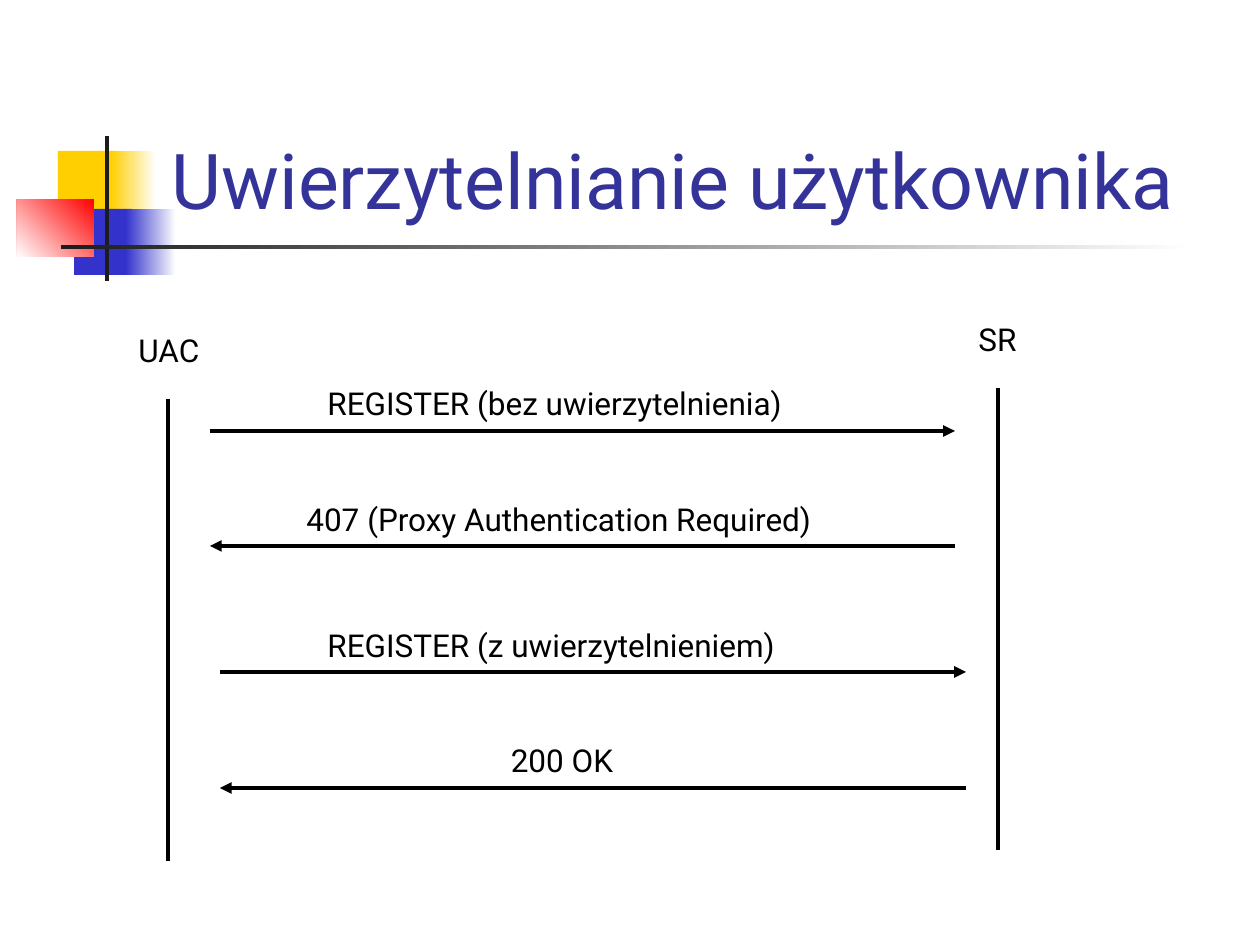
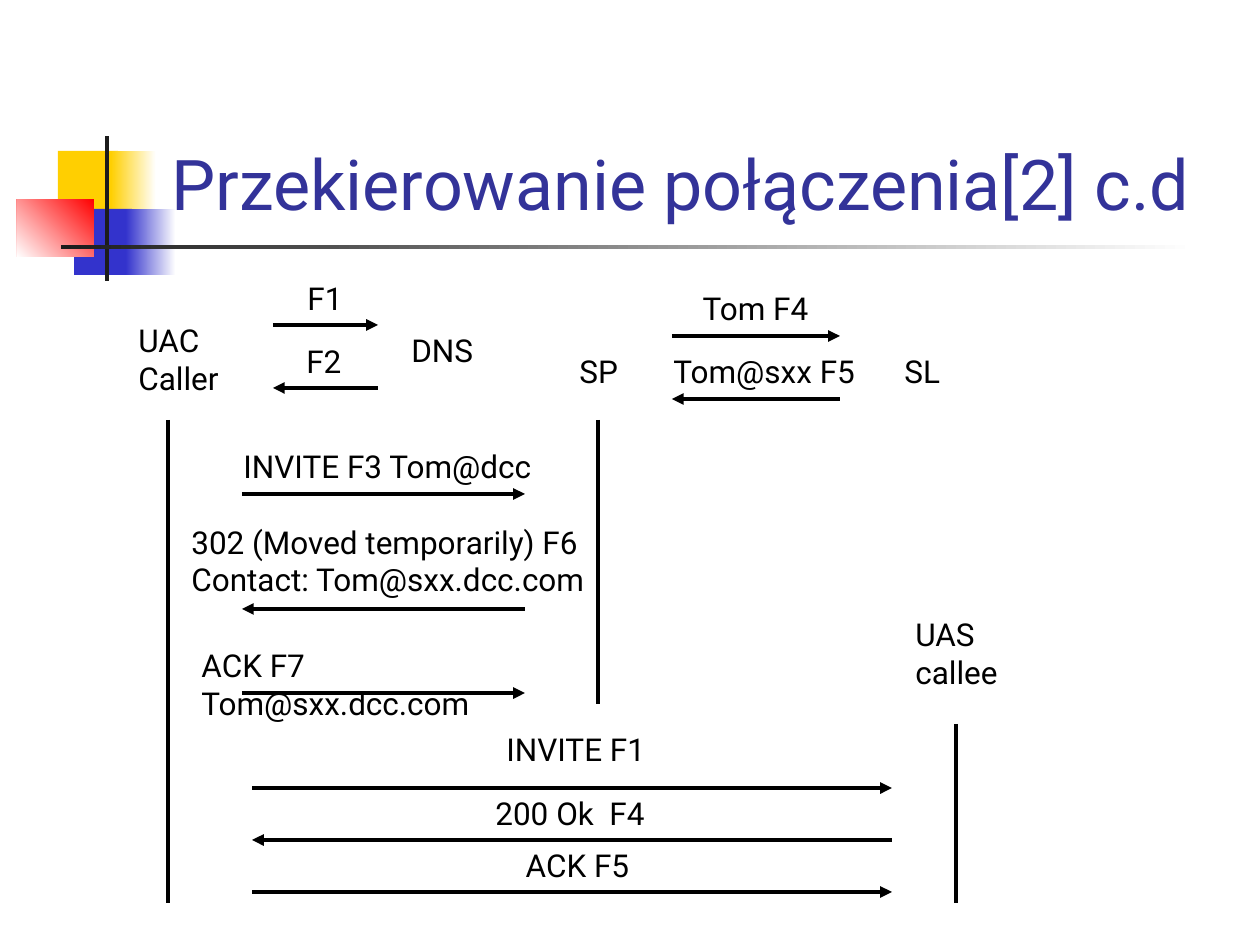
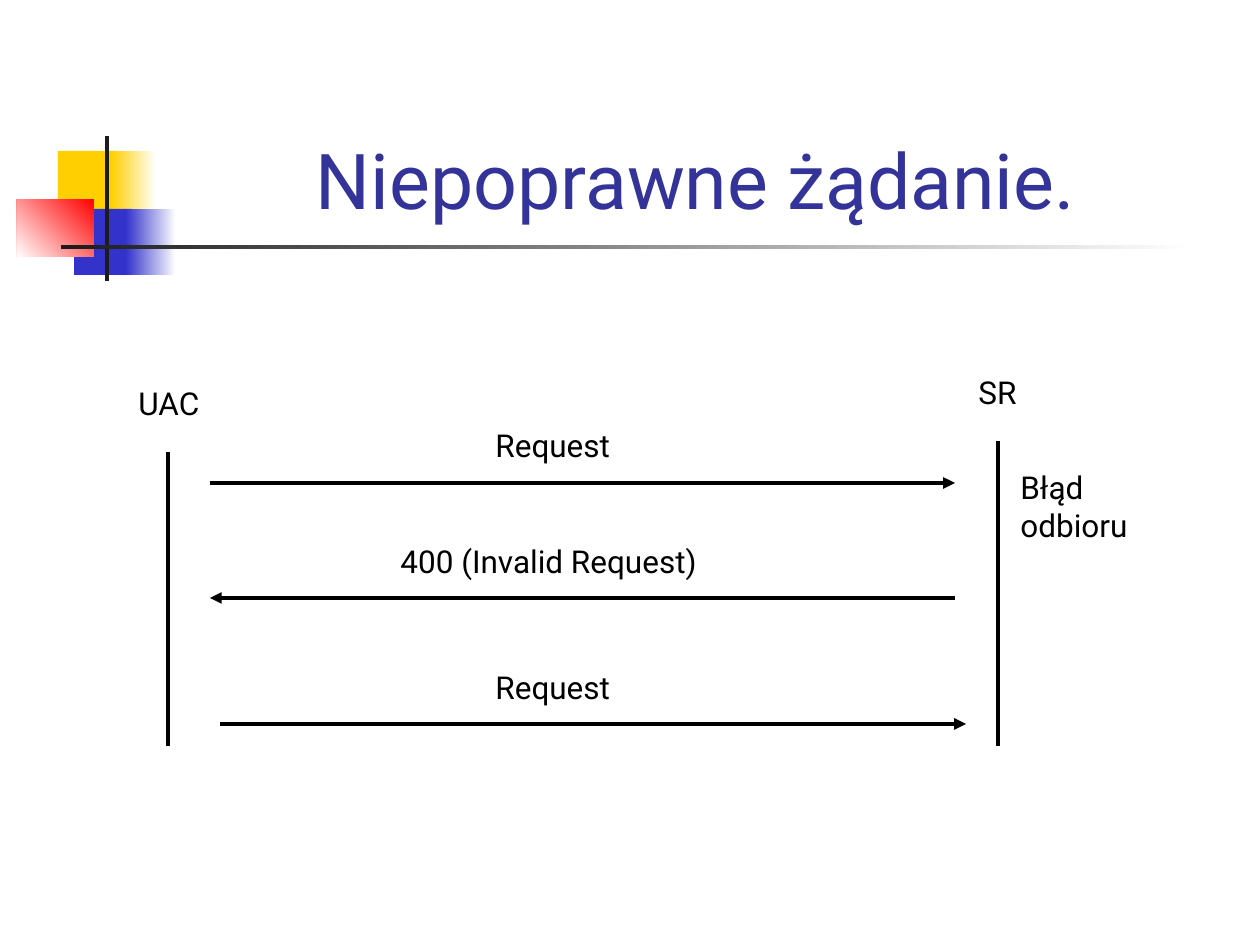
import pptx
import pptx.util
import pptx.dml.color
import pptx.enum.shapes
import pptx.enum.text
import pptx.oxml.ns
import lxml.etree

SCALE = 914400 / 126
FONT = "Roboto"
BLACK, WHITE, DARK = "000000", "FFFFFF", "1C1C1C"
GOLD, BLUE, RED, NAVY = "FFCF01", "3333CC", "FF0000", "333399"
LEFT = pptx.enum.text.PP_ALIGN.LEFT
MID = pptx.enum.text.PP_ALIGN.CENTER
GAP = 11.2  # points between paragraphs


def px(size):
    return pptx.util.Emu(round(size * SCALE))


def tint(code):
    return pptx.dml.color.RGBColor.from_string(code)


def add_node(parent, tag, **attrs):
    return lxml.etree.SubElement(parent, pptx.oxml.ns.qn(tag), attrs)


def write(frame, text, size=18, color=BLACK, align=LEFT, lead=None):
    """Fill a frame, one paragraph for each line of text."""
    frame.word_wrap = True
    for i, line in enumerate(text.split("\n")):
        para = frame.add_paragraph() if i else frame.paragraphs[0]
        para.alignment = align
        para.line_spacing = lead
        para.space_before = pptx.util.Pt(GAP if i else 0)
        run = para.add_run()
        run.text = line
        run.font.name = FONT
        run.font.size = pptx.util.Pt(size)
        run.font.color.rgb = tint(color)


def block(slide, x, y, wide, high, color, fade=None, angle=0):
    """Add a plain rectangle, or one that fades to a second colour."""
    kind = pptx.enum.shapes.MSO_SHAPE.RECTANGLE
    shape = slide.shapes.add_shape(kind, px(x), px(y), px(wide), px(high))
    shape.shadow.inherit = False
    shape.line.fill.background()
    if fade:
        shape.fill.gradient()
        shape.fill.gradient_angle = angle
        for stop, code in zip(shape.fill.gradient_stops, (color, fade)):
            stop.color.rgb = tint(code)
    else:
        shape.fill.solid()
        shape.fill.fore_color.rgb = tint(color)


def label(slide, x, y, wide, text, high=50, **style):
    box = slide.shapes.add_textbox(px(x), px(y), px(wide), px(high))
    write(box.text_frame, text, **style)
    box.text_frame.auto_size = pptx.enum.text.MSO_AUTO_SIZE.SHAPE_TO_FIT_TEXT


def line(slide, x1, y1, x2, y2, tip=None):
    """Add a line; tip names the end that has an arrowhead."""
    kind = pptx.enum.shapes.MSO_CONNECTOR.STRAIGHT
    link = slide.shapes.add_connector(kind, px(x1), px(y1), px(x2), px(y2))
    link.line.width = pptx.util.Pt(2.25)
    link.line.color.rgb = tint(BLACK)
    if tip:
        add_node(link.line._get_or_add_ln(), tip, type="triangle")
    add_node(link._element.spPr, "a:effectLst")


def life(slide, x, top, base):
    line(slide, x, top, x, base)


def send(slide, x1, x2, y):
    line(slide, x1, y, x2, y, tip="a:tailEnd")


def reply(slide, x1, x2, y):
    line(slide, x1, y, x2, y, tip="a:headEnd")


def add_slide(deck, title, size=44, align=LEFT):
    """Add a slide with the shared corner blocks, rule and title."""
    slide = deck.slides.add_slide(deck.slide_layouts[5])
    block(slide, 58, 151, 60, 66, GOLD)
    block(slide, 111, 151, 45, 66, GOLD, fade=WHITE)
    block(slide, 74, 209, 58, 66, BLUE)
    block(slide, 126, 209, 50, 66, BLUE, fade=WHITE)
    block(slide, 17, 199, 77, 58, RED, fade=WHITE, angle=225)
    block(slide, 105, 136, 4, 145, DARK)
    block(slide, 61, 245, 1134, 4, DARK, fade=WHITE)
    head = slide.shapes.title
    head.left, head.top, head.width, head.height = map(px, (159, 29, 1074, 202))
    frame = head.text_frame
    frame.auto_size = pptx.enum.text.MSO_AUTO_SIZE.NONE
    frame.vertical_anchor = pptx.enum.text.MSO_ANCHOR.BOTTOM
    write(frame, title, size=size, color=NAVY, align=align)
    return slide


def add_ends(slide, top, base_a, base_b):
    """Add the UAC and SR lifelines with their names."""
    life(slide, 168, top + 74, base_a)
    life(slide, 998, top + 74 - 11, base_b)
    label(slide, 126, top, 179, "UAC")
    label(slide, 966, top - 11, 158, "SR")


def add_login(deck):
    slide = add_slide(deck, "Uwierzytelnianie użytkownika")
    add_ends(slide, 325, 861, 850)
    send(slide, 210, 955, 431)
    reply(slide, 210, 955, 546)
    send(slide, 220, 966, 672)
    reply(slide, 220, 966, 788)
    label(slide, 315, 378, 640, "REGISTER (bez uwierzytelnienia)")
    label(slide, 294, 494, 640, "407 (Proxy Authentication Required)")
    label(slide, 315, 620, 640, "REGISTER (z uwierzytelnieniem)")
    label(slide, 242, 735, 640, "200 OK", align=MID)


def add_route(deck):
    slide = add_slide(deck, "Przekierowanie połączenia[2] c.d", size=40)
    # Parties and lifelines
    life(slide, 168, 420, 903)
    life(slide, 598, 420, 704)
    life(slide, 956, 724, 903)
    label(slide, 126, 315, 126, "UAC Caller", high=88)
    label(slide, 399, 325, 126, "DNS")
    label(slide, 567, 346, 126, "SP")
    label(slide, 892, 346, 126, "SL")
    label(slide, 903, 609, 126, "UAS callee", high=88)
    # Lookups at the top
    send(slide, 273, 378, 325)
    reply(slide, 273, 378, 388)
    send(slide, 672, 840, 336)
    reply(slide, 672, 840, 399)
    label(slide, 262, 273, 126, "F1", align=MID)
    label(slide, 294, 336, 126, "F2")
    label(slide, 661, 283, 189, "Tom F4", align=MID)
    label(slide, 661, 346, 211, "Tom@sxx F5", high=88)
    # Caller and proxy
    send(slide, 242, 525, 494)
    reply(slide, 242, 525, 609)
    send(slide, 242, 525, 693)
    label(slide, 231, 441, 325, "INVITE F3 Tom@dcc")
    label(slide, 179, 535, 431,
          "302 (Moved temporarily) F6\nContact: Tom@sxx.dcc.com",
          high=67, lead=0.45)
    label(slide, 189, 640, 399, "ACK F7 Tom@sxx.dcc.com", high=146)
    # Caller and callee
    send(slide, 252, 892, 788)
    reply(slide, 252, 892, 840)
    send(slide, 252, 892, 892)
    label(slide, 494, 724, 189, "INVITE F1")
    label(slide, 483, 788, 189, "200 Ok  F4")
    label(slide, 483, 840, 189, "ACK F5", align=MID)


def add_fault(deck):
    slide = add_slide(deck, "Niepoprawne żądanie.", align=MID)
    add_ends(slide, 378, 746, 746)
    send(slide, 210, 955, 483)
    reply(slide, 210, 955, 598)
    send(slide, 220, 966, 724)
    for y in (420, 662):
        label(slide, 483, y, 147, "Request")
    label(slide, 388, 536, 347, "400 (Invalid Request)")
    label(slide, 1008, 462, 147, "Błąd odbioru", high=146)


def main():
    deck = pptx.Presentation()
    deck.slide_width, deck.slide_height = px(1260), px(945)
    add_login(deck)
    add_route(deck)
    add_fault(deck)
    deck.save("out.pptx")


if __name__ == "__main__":
    main()
